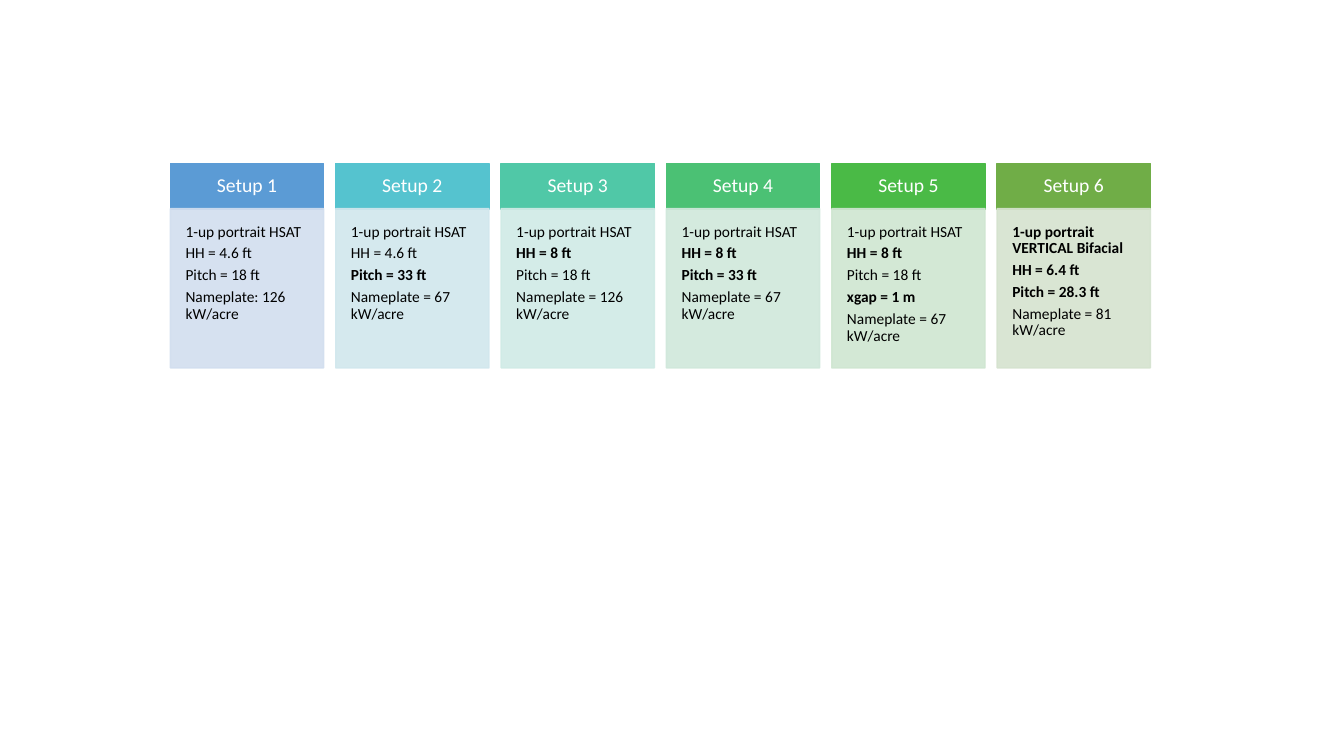
"""Build a slide comparing six solar array setups in coloured columns."""
from lxml import etree
from pptx import Presentation
from pptx.dml.color import RGBColor
from pptx.enum.shapes import MSO_SHAPE
from pptx.enum.text import MSO_ANCHOR, PP_ALIGN
from pptx.oxml.ns import qn
from pptx.util import Inches, Pt

RECTANGLE = MSO_SHAPE.RECTANGLE
TOP, MIDDLE = MSO_ANCHOR.TOP, MSO_ANCHOR.MIDDLE
LEFT, CENTER = PP_ALIGN.LEFT, PP_ALIGN.CENTER

COLORS = {
    "header": ["5B9BD5", "55C3CF", "50C8A7", "4BC174", "4ABA46", "70AD47"],
    "body": ["D2DEEF", "D1E7ED", "D0EBE6", "D0E8DB", "CFE6D1", "D5E3CF"],
    "header text": "FFFFFF",
    "body text": "000000",
}
HSAT = "1-up portrait HSAT"
SETUPS = [
    [(HSAT, False), ("HH = 4.6 ft", False), ("Pitch = 18 ft", False),
     ("Nameplate: 126 kW/acre", False)],
    [(HSAT, False), ("HH = 4.6 ft", False), ("Pitch = 33 ft", True),
     ("Nameplate = 67 kW/acre", False)],
    [(HSAT, False), ("HH = 8 ft", True), ("Pitch = 18 ft", False),
     ("Nameplate = 126 kW/acre", False)],
    [(HSAT, False), ("HH = 8 ft", True), ("Pitch = 33 ft", True),
     ("Nameplate = 67 kW/acre", False)],
    [(HSAT, False), ("HH = 8 ft", True), ("Pitch = 18 ft", False),
     ("xgap = 1 m", True), ("Nameplate = 67 kW/acre", False)],
    [("1-up portrait VERTICAL Bifacial", True), ("HH = 6.4 ft", True),
     ("Pitch = 28.3 ft", True), ("Nameplate = 81 kW/acre", False)],
]
FIRST_LEFT, COLUMN_STEP, COLUMN_WIDTH = 1.69, 1.64, 1.52
HEADER_TOP, HEADER_HEIGHT = 1.62, 0.46
BODY_TOP, BODY_HEIGHT = 2.07, 1.58


def add_box(left, top, height, color, opacity):
    """Add a filled column box with a matching outline."""
    shape = slide.shapes.add_shape(
        RECTANGLE, Inches(left), Inches(top), Inches(COLUMN_WIDTH), Inches(height))
    shape.shadow.inherit = False
    shape.line.width = Pt(1)
    for fill in (shape.fill, shape.line.fill):
        fill.solid()
        fill.fore_color.rgb = RGBColor.from_string(color)
    for color_element in shape.element.spPr.iter(qn("a:srgbClr")):
        etree.SubElement(color_element, qn("a:alpha"), val=str(opacity * 1000))
    return shape


def write_lines(shape, lines, size, color, alignment, anchor, inset):
    """Write one paragraph per (text, bold) pair."""
    frame = shape.text_frame
    frame.word_wrap = True
    frame.vertical_anchor = anchor
    frame.margin_left = frame.margin_right = Inches(inset)
    frame.margin_top = frame.margin_bottom = Inches(inset)
    frame.text = "\n".join(text for text, bold in lines)
    for paragraph, (text, bold) in zip(frame.paragraphs, lines):
        paragraph.alignment = alignment
        paragraph.line_spacing = 0.9
        paragraph.space_after = Pt(size * 0.34)
        paragraph.font.name = "Calibri"
        paragraph.font.size = Pt(size)
        paragraph.font.bold = bold
        paragraph.font.color.rgb = RGBColor.from_string(color)


presentation = Presentation()
presentation.slide_width = Inches(13.33)
presentation.slide_height = Inches(7.5)
slide = presentation.slides.add_slide(presentation.slide_layouts[6])

for index, lines in enumerate(SETUPS):
    left = FIRST_LEFT + index * COLUMN_STEP
    header = add_box(left, HEADER_TOP, HEADER_HEIGHT, COLORS["header"][index], 100)
    write_lines(header, [(f"Setup {index + 1}", False)], 14,
                COLORS["header text"], CENTER, MIDDLE, 0.12)
    body = add_box(left, BODY_TOP, BODY_HEIGHT, COLORS["body"][index], 90)
    write_lines(body, lines, 11, COLORS["body text"], LEFT, TOP, 0.15)

presentation.save("out.pptx")
